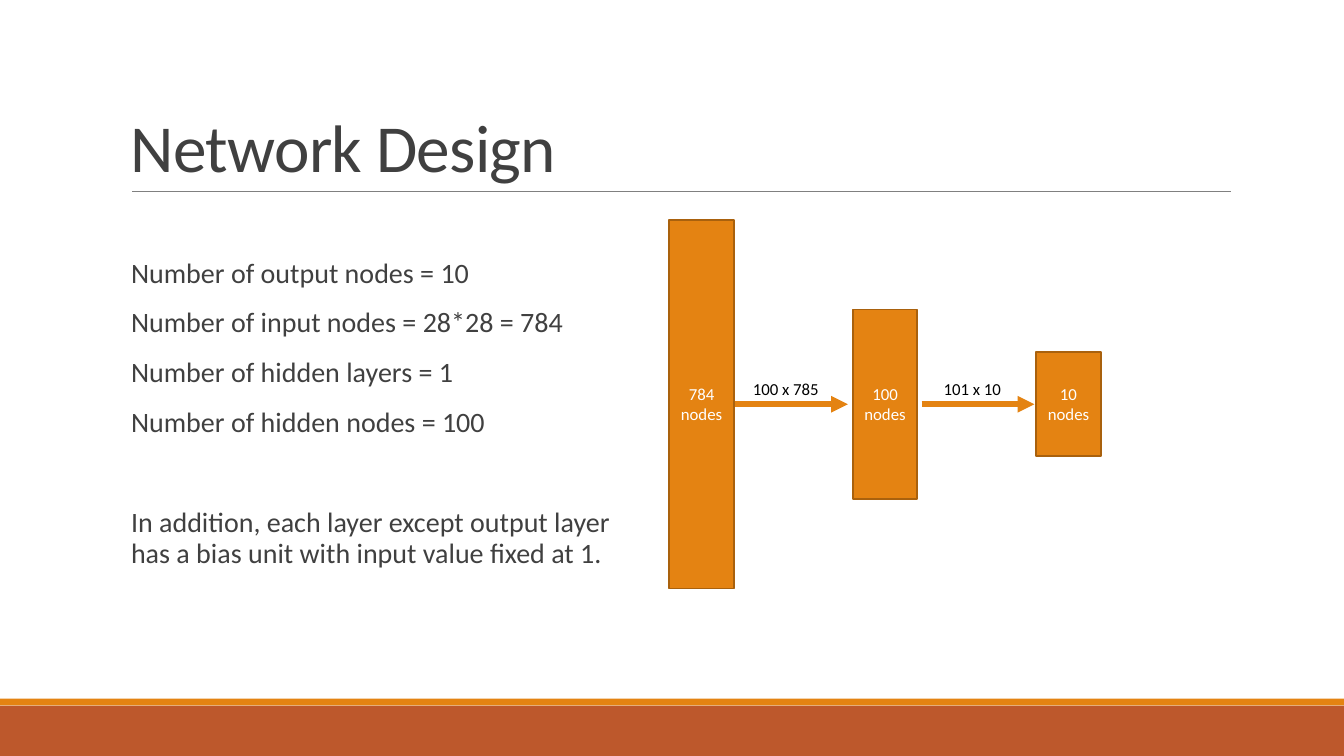
from pptx import Presentation
from pptx.dml.color import RGBColor
from pptx.enum.shapes import MSO_CONNECTOR, MSO_SHAPE
from pptx.enum.text import MSO_ANCHOR, PP_ALIGN
from pptx.oxml.ns import qn
from pptx.util import Inches, Pt
from lxml.etree import SubElement

WIDTH, HEIGHT = Inches(13.33), Inches(7.5)
ORANGE, RUST, EDGE = "E48312", "BD582C", "A9610D"
DARK, GREY, WHITE, BLACK = "404040", "808080", "FFFFFF", "000000"

FACTS = [
    "Number of output nodes = 10",
    "Number of input nodes = 28*28 = 784",
    "Number of hidden layers = 1",
    "Number of hidden nodes = 100",
    "In addition, each layer except output layer has a bias unit "
    "with input value fixed at 1.",
]
# Each layer: label and height in percent of the slide
LAYERS = [("784 nodes", 48.8), ("100 nodes", 25.07), ("10 nodes", 13.73)]
WEIGHTS = ["100 x 785", "101 x 10"]
MIDDLE = 53.47


# Lengths are percentages of the slide's width and height
def across(share):
    return round(WIDTH * share / 100)


def down(share):
    return round(HEIGHT * share / 100)


def place(x, y, w, h):
    return across(x), down(y), across(w), down(h)


def color(code):
    return RGBColor.from_string(code)


def style(para, size, code):
    for run in para.runs:
        run.font.name = "Calibri"
        run.font.size = Pt(size)
        run.font.color.rgb = color(code)


def add_box(slide, area, fill, edge=None, text=""):
    box = slide.shapes.add_shape(MSO_SHAPE.RECTANGLE, *place(*area))
    box.shadow.inherit = False
    box.fill.solid()
    box.fill.fore_color.rgb = color(fill)
    if edge:
        box.line.color.rgb = color(edge)
        box.line.width = Pt(1.25)
    else:
        box.line.fill.background()
    if text:
        frame = box.text_frame
        frame.text = text
        frame.word_wrap = True
        frame.vertical_anchor = MSO_ANCHOR.MIDDLE
        frame.paragraphs[0].alignment = PP_ALIGN.CENTER
        style(frame.paragraphs[0], 12, WHITE)


def add_line(slide, start, end, y, code, width, arrow=False):
    line = slide.shapes.add_connector(
        MSO_CONNECTOR.STRAIGHT, across(start), down(y), across(end), down(y))
    line.line.color.rgb = color(code)
    line.line.width = Pt(width)
    if arrow:
        SubElement(line.line._get_or_add_ln(), qn("a:tailEnd"), type="triangle")
    SubElement(line._element.spPr, qn("a:effectLst"))


def add_text(slide, area, text, size, code):
    frame = slide.shapes.add_textbox(*place(*area)).text_frame
    frame.word_wrap = True
    frame.text = text
    for para in frame.paragraphs:
        style(para, size, code)
    return frame


def add_title(slide):
    frame = add_text(slide, (9, 4.13, 82.5, 21.2), "Network Design", 48, DARK)
    frame.vertical_anchor = MSO_ANCHOR.BOTTOM
    title = frame.paragraphs[0]
    title.line_spacing = 0.85
    title.runs[0].font._element.set("spc", "-50")
    add_line(slide, 9.83, 91.6, 25.33, GREY, 0.5)


def add_facts(slide):
    frame = add_text(slide, (9.75, 33.6, 38.63, 52), "\n".join(FACTS), 20, DARK)
    frame.margin_left = frame.margin_right = 0
    for para in frame.paragraphs:
        para.line_spacing = 0.9
        para.space_before = Pt(12)
        para.space_after = Pt(2)
    # Set the closing remark apart from the counts
    frame.paragraphs[-1].space_before = Pt(48)


def add_network(slide):
    for i, (name, tall) in enumerate(LAYERS):
        area = 49.8 + 13.65 * i, MIDDLE - tall / 2, 4.8, tall
        add_box(slide, area, ORANGE, EDGE, name)
    for i, name in enumerate(WEIGHTS):
        left = 54.69 + 13.88 * i
        add_line(slide, left, left + 8.4, MIDDLE, ORANGE, 4, arrow=True)
        label = add_text(slide, (left, 49.47, 7.56, 4), name, 12, BLACK)
        label.paragraphs[0].alignment = PP_ALIGN.CENTER


def main():
    deck = Presentation()
    deck.slide_width, deck.slide_height = WIDTH, HEIGHT
    slide = deck.slides.add_slide(deck.slide_layouts[6])
    # Footer bands
    add_box(slide, (0, 93.33, 100, 6.67), RUST)
    add_box(slide, (0, 92.4, 100, 0.9), ORANGE)
    add_title(slide)
    add_facts(slide)
    add_network(slide)
    deck.save("out.pptx")


if __name__ == "__main__":
    main()
